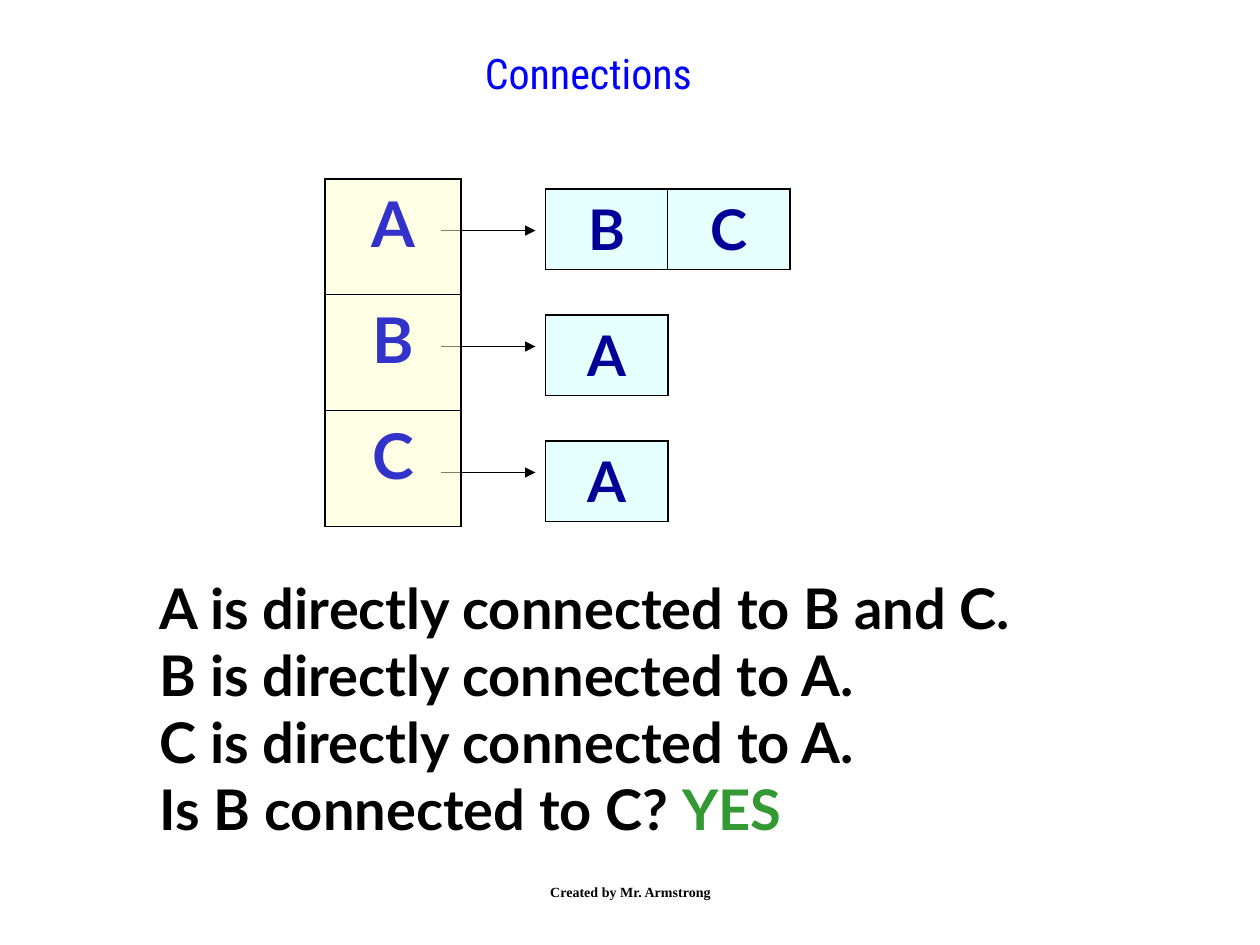
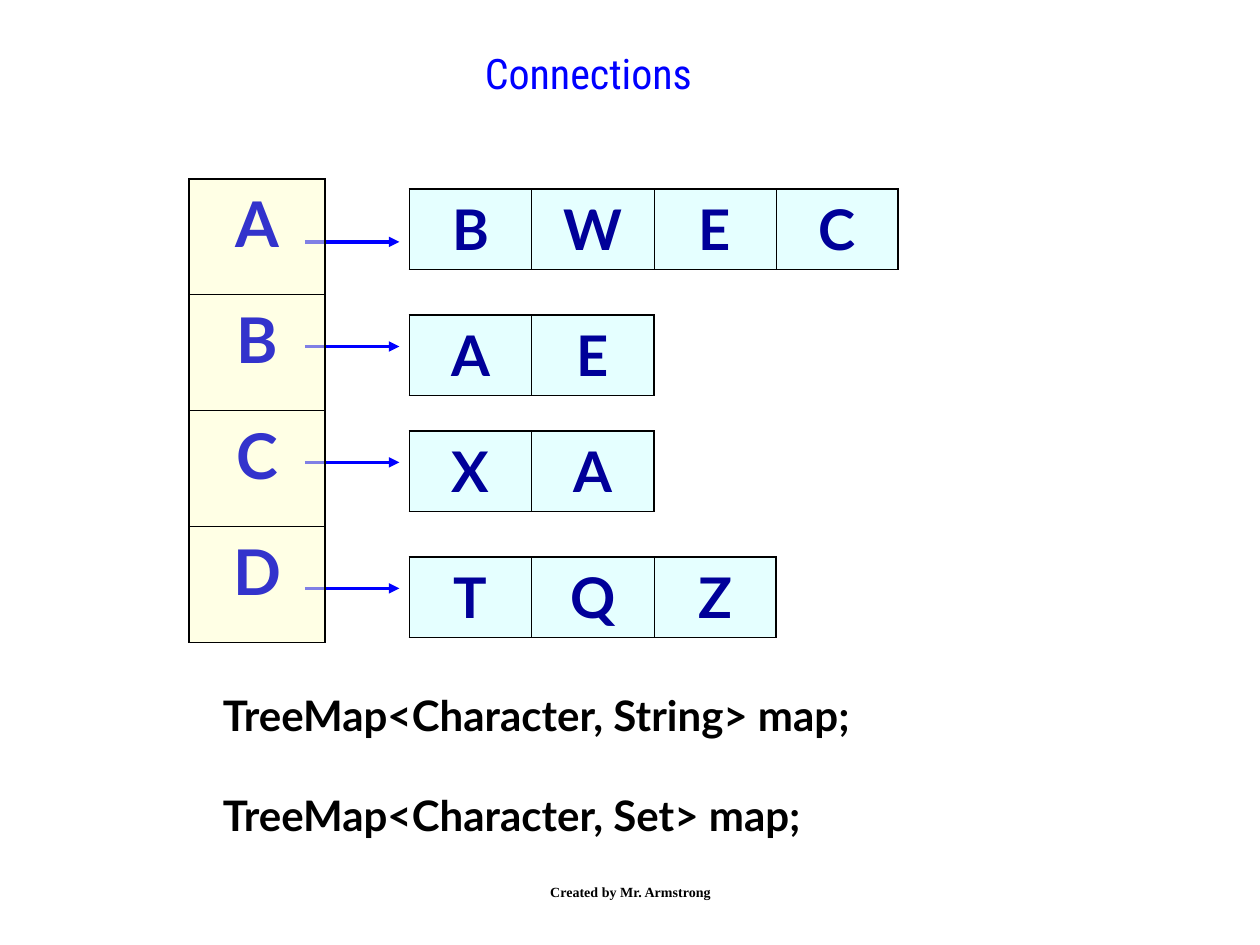
import dataclasses

import lxml.etree
import pptx
import pptx.dml.color
import pptx.enum.shapes
import pptx.enum.text
import pptx.oxml.ns
import pptx.util

Inches = pptx.util.Inches
Pt = pptx.util.Pt
qn = pptx.oxml.ns.qn
Align = pptx.enum.text.PP_ALIGN
Anchor = pptx.enum.text.MSO_ANCHOR


@dataclasses.dataclass(frozen=True)
class TextStyle:
    """Font, size, colour and weight of a run."""
    font: str
    size: float
    color: str
    bold: bool = True


@dataclasses.dataclass(frozen=True)
class CellStyle:
    """Text style, fill and space above the text of table cells."""
    text: TextStyle
    fill: str
    space_before: float


@dataclasses.dataclass(frozen=True)
class Theme:
    """Colours, type sizes and line widths of the deck."""
    title: TextStyle = TextStyle("Roboto Condensed", 24, "0000FF", False)
    statement: TextStyle = TextStyle("Lato", 32, "000000")
    answer: TextStyle = TextStyle("Lato", 32, "339933")
    code: TextStyle = TextStyle("Lato", 24, "000000")
    footer: TextStyle = TextStyle("Times New Roman", 8, "000000")
    key: CellStyle = CellStyle(TextStyle("Lato", 36, "3333CC"), "FFFFCC", 9)
    neighbour: CellStyle = CellStyle(TextStyle("Lato", 32, "000099"), "CCFFFF", 8)
    border: str = "000000"
    outer_border: float = 1.08
    inner_border: float = 0.45
    cell_opacity: int = 50


THEME = Theme()
KEY_TOP, KEY_WIDTH, KEY_HEIGHT = 1.42, 1.08, 0.92
NEIGHBOUR_WIDTH, NEIGHBOUR_HEIGHT = 0.97, 0.64
ARROW_OFFSET, ARROW_LENGTH, NEIGHBOUR_OFFSET = 0.92, 0.75, 1.75


def rgb(color):
    """Turn a hex string into a colour."""
    return pptx.dml.color.RGBColor.from_string(color)


def add_run(paragraph, text, style):
    """Add one formatted run."""
    run = paragraph.add_run()
    run.text = text
    run.font.name = style.font
    run.font.size = Pt(style.size)
    run.font.bold = style.bold
    run.font.color.rgb = rgb(style.color)


def add_title(slide, text):
    """Place and fill the title placeholder."""
    title = slide.shapes.title
    title.left, title.top = Inches(1.67), Inches(0.33)
    title.width, title.height = Inches(6), Inches(0.67)
    frame = title.text_frame
    frame.auto_size = pptx.enum.text.MSO_AUTO_SIZE.NONE
    frame.vertical_anchor = Anchor.TOP
    frame.paragraphs[0].alignment = Align.CENTER
    add_run(frame.paragraphs[0], text, THEME.title)


def add_text(slide, box, lines, align=Align.LEFT, anchor=Anchor.TOP, gap=0):
    """Add a text box whose lines are lists of (text, style) pairs."""
    frame = slide.shapes.add_textbox(*map(Inches, box)).text_frame
    frame.word_wrap = True
    frame.vertical_anchor = anchor
    for index, runs in enumerate(lines):
        paragraph = frame.add_paragraph() if index else frame.paragraphs[0]
        paragraph.alignment = align
        paragraph.space_before = Pt(gap if index else 0)
        for text, style in runs:
            add_run(paragraph, text, style)


def add_arrow(slide, left, y, color, width):
    """Add a horizontal arrow pointing right."""
    arrow = slide.shapes.add_connector(
        pptx.enum.shapes.MSO_CONNECTOR.STRAIGHT,
        Inches(left), Inches(y), Inches(left + ARROW_LENGTH), Inches(y))
    arrow.line.color.rgb = rgb(color)
    arrow.line.width = Pt(width)
    properties = arrow.line._get_or_add_ln()
    lxml.etree.SubElement(properties, qn("a:tailEnd"), type="triangle")
    lxml.etree.SubElement(arrow._element.spPr, qn("a:effectLst"))


def set_borders(cell, outer_sides):
    """Draw cell borders, heavier on the table's outer sides."""
    properties = cell._tc.get_or_add_tcPr()
    for index, side in enumerate("LRTB"):
        width = THEME.outer_border if side in outer_sides else THEME.inner_border
        line = lxml.etree.Element(qn("a:ln" + side), w=str(int(Pt(width))))
        fill = lxml.etree.SubElement(line, qn("a:solidFill"))
        lxml.etree.SubElement(fill, qn("a:srgbClr"), val=THEME.border)
        properties.insert(index, line)


def fill_cell(cell, text, style):
    """Write a cell's letter and give it a translucent fill."""
    paragraph = cell.text_frame.paragraphs[0]
    paragraph.alignment = Align.CENTER
    paragraph.space_before = Pt(style.space_before)
    add_run(paragraph, text, style.text)
    cell.fill.solid()
    cell.fill.fore_color.rgb = rgb(style.fill)
    color = cell._tc.tcPr.find(".//" + qn("a:srgbClr"))
    lxml.etree.SubElement(color, qn("a:alpha"), val=str(THEME.cell_opacity * 1000))


def add_grid(slide, left, top, cell_width, cell_height, rows, style):
    """Add a table of single letters, one string for each row."""
    row_count, column_count = len(rows), len(rows[0])
    grid = slide.shapes.add_table(
        row_count, column_count, Inches(left), Inches(top),
        Inches(cell_width * column_count), Inches(cell_height * row_count)).table
    grid.first_row = grid.horz_banding = False
    for column in grid.columns:
        column.width = Inches(cell_width)
    for r, letters in enumerate(rows):
        grid.rows[r].height = Inches(cell_height)
        for c, letter in enumerate(letters):
            cell = grid.cell(r, c)
            fill_cell(cell, letter, style)
            edges = {"L": c == 0, "R": c == column_count - 1,
                     "T": r == 0, "B": r == row_count - 1}
            set_borders(cell, [side for side, outer in edges.items() if outer])


def add_adjacency_map(slide, left, entries, arrow_color, arrow_width):
    """Draw keys with arrows to neighbours: (key, neighbours, arrow y, top)."""
    for _, _, arrow_y, _ in entries:
        add_arrow(slide, left + ARROW_OFFSET, arrow_y, arrow_color, arrow_width)
    add_grid(slide, left, KEY_TOP, KEY_WIDTH, KEY_HEIGHT,
             [entry[0] for entry in entries], THEME.key)
    for _, neighbours, _, top in entries:
        add_grid(slide, left + NEIGHBOUR_OFFSET, top, NEIGHBOUR_WIDTH,
                 NEIGHBOUR_HEIGHT, [neighbours], THEME.neighbour)


def add_connections_slide(deck):
    """Add a slide with the shared title and footer."""
    slide = deck.slides.add_slide(deck.slide_layouts[5])
    add_title(slide, "Connections")
    add_text(slide, (3.42, 6.83, 3.17, 0.5),
             [[("Created by Mr. Armstrong", THEME.footer)]],
             Align.CENTER, Anchor.MIDDLE)
    return slide


def main():
    """Build and save the deck."""
    deck = pptx.Presentation()
    deck.slide_width, deck.slide_height = Inches(10), Inches(7.5)

    direct = add_connections_slide(deck)
    add_text(direct, (1.17, 4.5, 8.17, 2.24), [
        [("A is directly connected to B and C.", THEME.statement)],
        [("B is directly connected to A.", THEME.statement)],
        [("C is directly connected to A.", THEME.statement)],
        [("Is B connected to C? ", THEME.statement), ("YES", THEME.answer)],
    ])
    add_adjacency_map(direct, 2.58, [
        ("A", "BC", 1.83, 1.5),
        ("B", "A", 2.75, 2.5),
        ("C", "A", 3.75, 3.5),
    ], "000000", 0.75)

    tree_map = add_connections_slide(deck)
    add_text(tree_map, (1.67, 5.42, 6.25, 1.7), [
        [("TreeMap<Character, String> map;", THEME.code)],
        [("TreeMap<Character, Set> map;", THEME.code)],
    ], gap=28.8)
    add_adjacency_map(tree_map, 1.5, [
        ("A", "BWEC", 1.92, 1.5),
        ("B", "AE", 2.75, 2.5),
        ("C", "XA", 3.67, 3.42),
        ("D", "TQZ", 4.67, 4.42),
    ], "0000FF", 2)

    deck.save("out.pptx")


if __name__ == "__main__":
    main()
